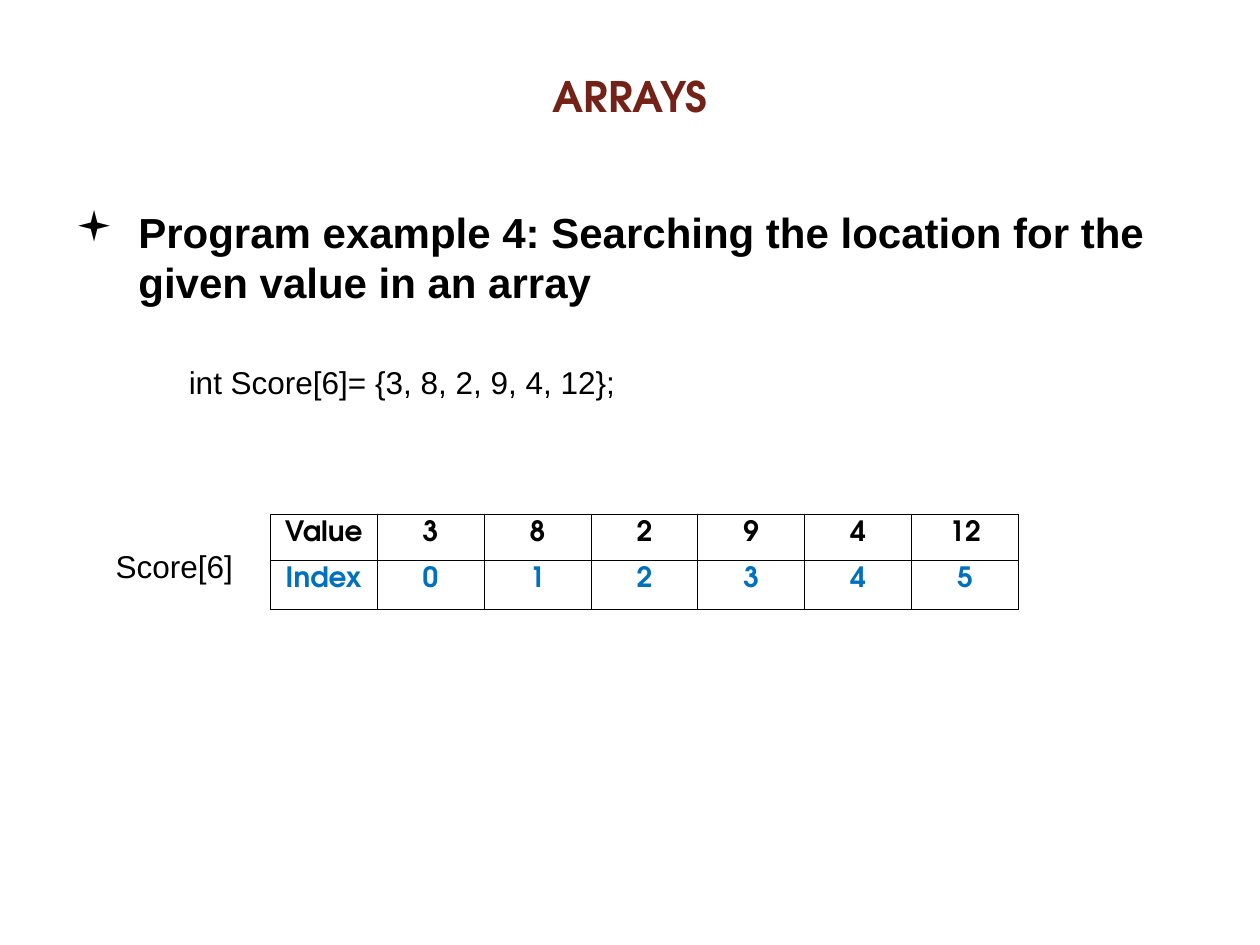
import pptx
import pptx.util
import pptx.dml.color
import pptx.enum.text
import pptx.oxml
import pptx.oxml.ns

Pt = pptx.util.Pt
ALIGN = pptx.enum.text.PP_ALIGN
ANCHOR = pptx.enum.text.MSO_ANCHOR
FIT = pptx.enum.text.MSO_AUTO_SIZE
HEX = {"title": "742217", "text": "000000", "index": "0070C0",
       "cell": "FFFFFF", "line": "000000"}
HEAD, BODY = "TeX Gyre Adventor", "Arial"
NS = pptx.oxml.ns.nsdecls("a")


def tint(name):
    return pptx.dml.color.RGBColor.from_string(HEX[name])


def write(frame, text, size=18, face=BODY, color="text", bold=False,
          align=ALIGN.LEFT, bullet=None):
    """Fill a text frame with one formatted paragraph."""
    para = frame.paragraphs[0]
    para.alignment = align
    if bullet:
        props = para._p.get_or_add_pPr()
        props.set("marL", str(Pt(36)))
        props.set("indent", str(-Pt(36)))
        for part in (
                f'<a:buClr {NS}><a:srgbClr val="{HEX["text"]}"/></a:buClr>',
                f'<a:buFont {NS} typeface="Wingdings" charset="2"/>',
                f'<a:buChar {NS} char="{bullet}"/>'):
            props.append(pptx.oxml.parse_xml(part))
    run = para.add_run()
    run.text = text
    font = run.font
    font.name, font.size, font.bold = face, Pt(size), bold
    font.color.rgb = tint(color)


def label(slide, box, text, anchor=ANCHOR.TOP, wrap=True, **form):
    """Place a text box in the given box."""
    frame = slide.shapes.add_textbox(*map(Pt, box)).text_frame
    frame.word_wrap = wrap
    frame.auto_size = FIT.SHAPE_TO_FIT_TEXT
    frame.vertical_anchor = anchor
    write(frame, text, **form)


def edge(cell):
    """Draw a thin line on all four sides of a cell."""
    props = cell._tc.get_or_add_tcPr()
    for at, side in enumerate(("lnL", "lnR", "lnT", "lnB")):
        props.insert(at, pptx.oxml.parse_xml(
            f'<a:{side} {NS} w="{Pt(0.45)}"><a:solidFill>'
            f'<a:srgbClr val="{HEX["line"]}"/></a:solidFill></a:{side}>'))


def grid(slide, box, rows, tall):
    """Place the table of values above their indexes."""
    count = len(rows[0])
    table = slide.shapes.add_table(len(rows), count, *map(Pt, box)).table
    table.first_row = table.horz_banding = False
    for col in table.columns:
        col.width = Pt(box[2] / count)
    for y, (row, color) in enumerate(zip(rows, ("text", "index"))):
        table.rows[y].height = Pt(tall[y])
        for x, item in enumerate(row):
            cell = table.cell(y, x)
            cell.fill.solid()
            cell.fill.fore_color.rgb = tint("cell")
            edge(cell)
            write(cell.text_frame, str(item), size=16, face=HEAD,
                  color=color, bold=True, align=ALIGN.CENTER)


def main():
    deck = pptx.Presentation()
    deck.slide_width, deck.slide_height = Pt(720), Pt(540)
    slide = deck.slides.add_slide(deck.slide_layouts[6])

    # Title
    label(slide, (240, 36, 240, 36.7), "ARRAYS", size=24, face=HEAD,
          color="title", bold=True, align=ALIGN.CENTER, anchor=ANCHOR.BOTTOM)

    # Array table
    vals = [3, 8, 2, 9, 4, 12]
    rows = [["Value", *vals], ["Index", *range(len(vals))]]
    grid(slide, (154.4, 293.8, 427.7, 54.3), rows, (26.4, 27.9))

    # Topic and declaration
    label(slide, (36, 114, 672, 65),
          "Program example 4: Searching the location for the given value "
          "in an array", size=24, bold=True, anchor=ANCHOR.MIDDLE, bullet="▪")
    label(slide, (100.8, 204, 258, 29),
          "int Score[6]= {3, 8, 2, 9, 4, 12};", wrap=False)

    # Table label
    label(slide, (59, 309, 81.4, 29), "Score[6]", wrap=False)

    deck.save("out.pptx")


if __name__ == "__main__":
    main()
